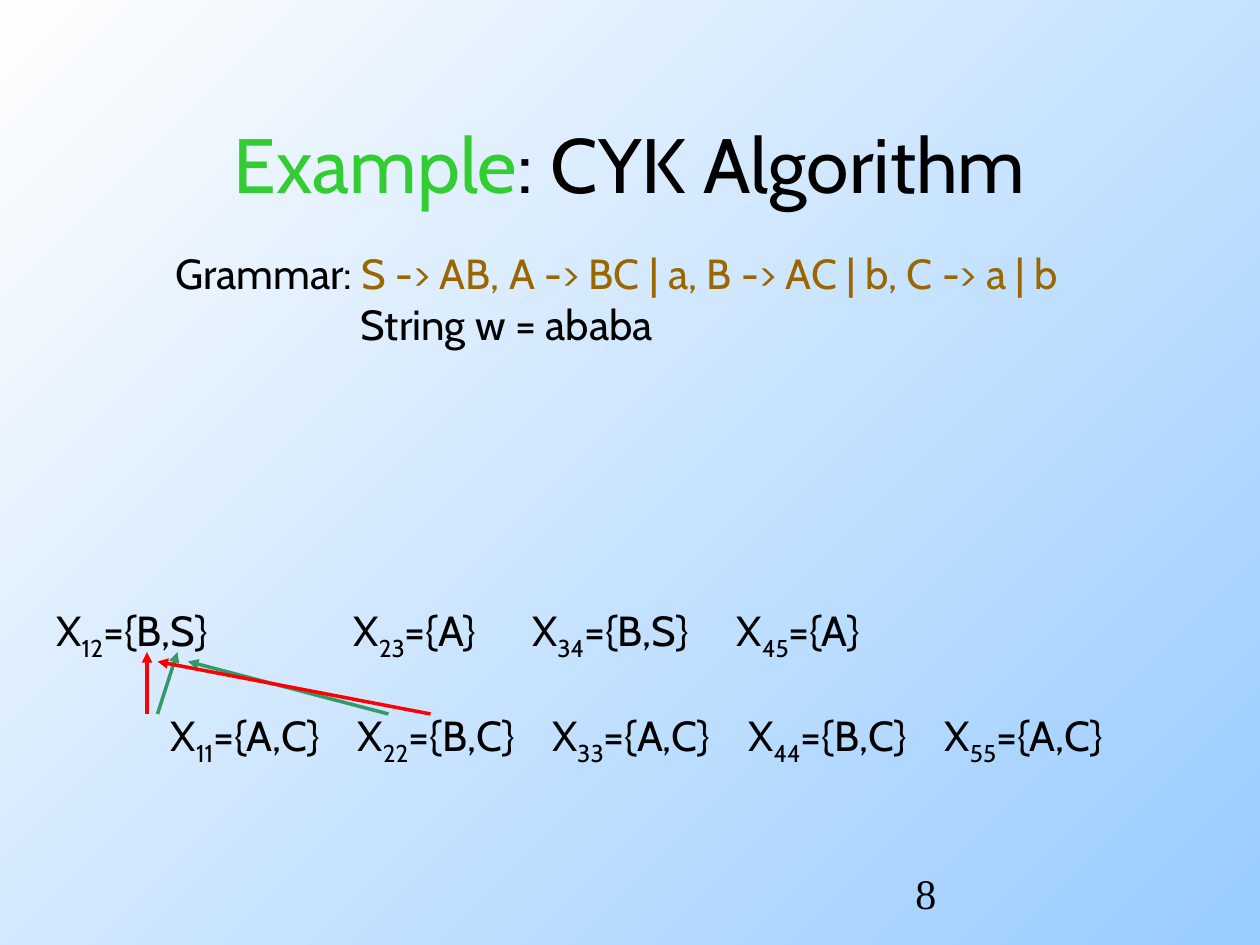
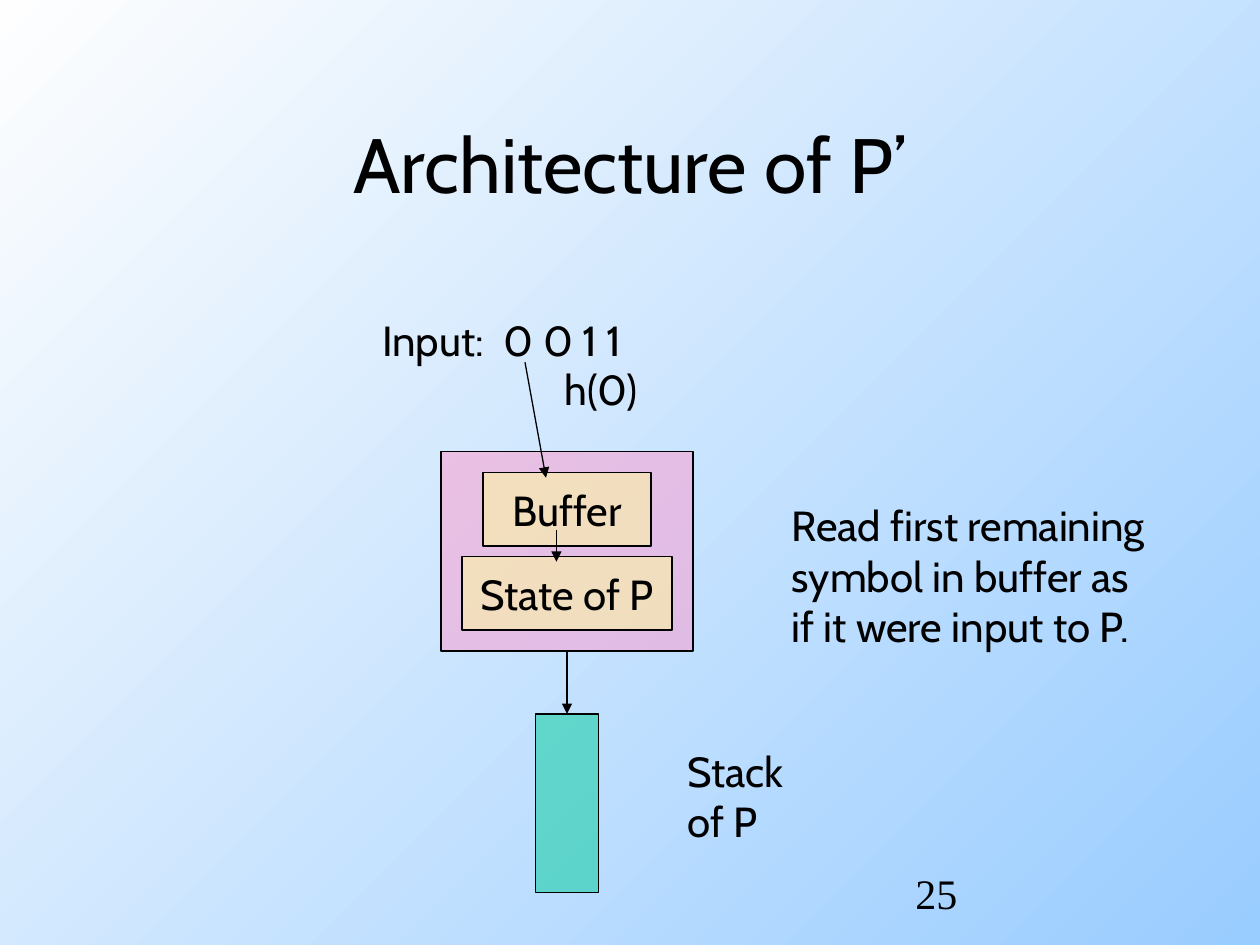
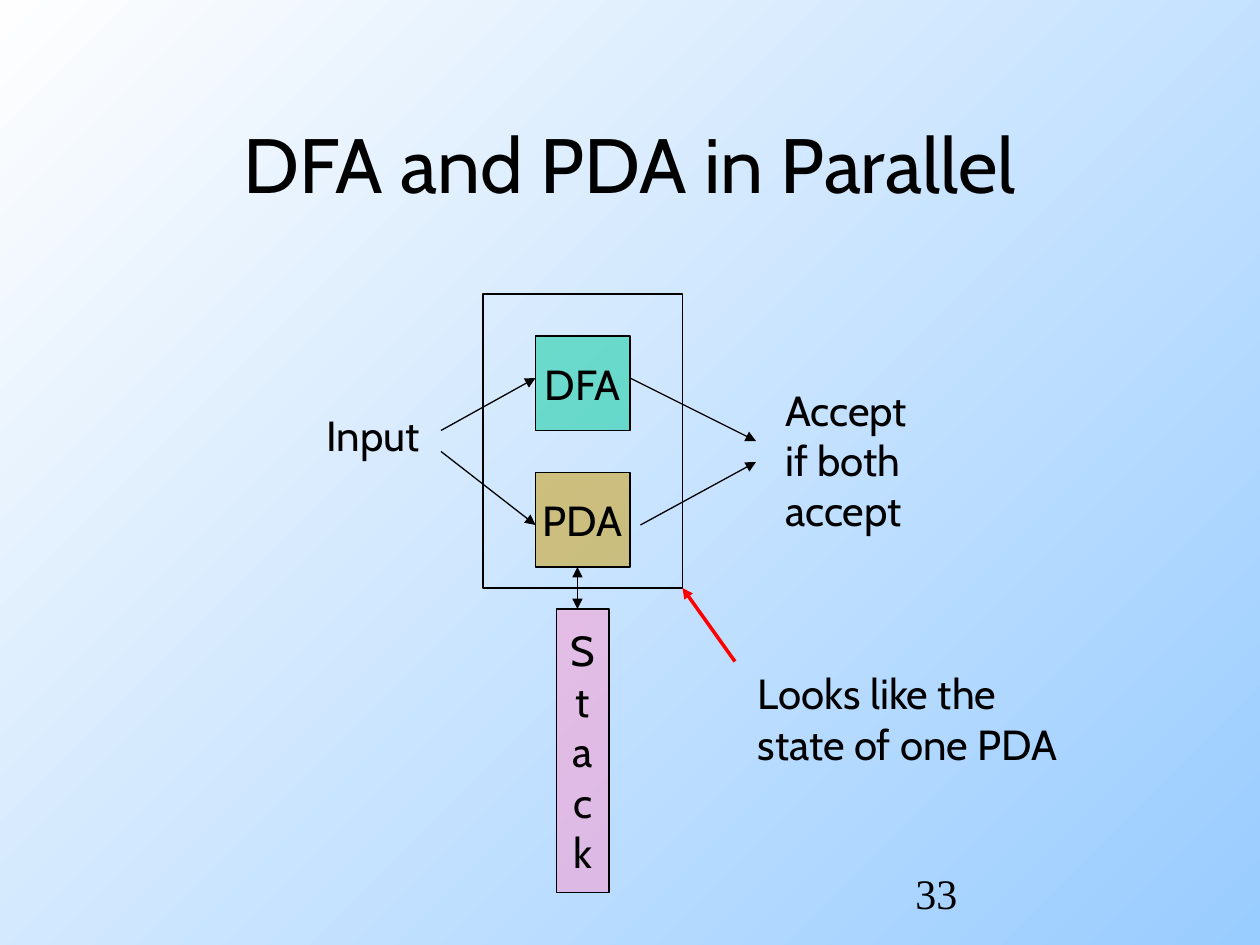
from lxml.etree import SubElement
from pptx import Presentation
from pptx.dml.color import RGBColor
from pptx.enum.shapes import MSO_CONNECTOR, MSO_SHAPE
from pptx.enum.text import MSO_ANCHOR, PP_ALIGN
from pptx.oxml.ns import qn
from pptx.util import Emu, Pt

SCALE = 7620  # EMU in one px, 120 px to the inch
BLACK = RGBColor(0x00, 0x00, 0x00)
RED = RGBColor(0xFF, 0x00, 0x00)
GREEN = RGBColor(0x33, 0x99, 0x66)
LIME = RGBColor(0x33, 0xCC, 0x33)
BROWN = RGBColor(0x99, 0x66, 0x00)
PINK = RGBColor(0xFF, 0x99, 0xCC)
YELLOW = RGBColor(0xFF, 0xFF, 0x99)
TEAL = RGBColor(0x00, 0xCC, 0x99)
OCHRE = RGBColor(0xCC, 0x99, 0x00)
SKY = RGBColor(0x99, 0xCC, 0xFF)
WHITE = RGBColor(0xFE, 0xFE, 0xFE)


def write(text, slide=None, at=None, shape=None, size=24, color=BLACK, font="Cabin",
          align=PP_ALIGN.LEFT, anchor=MSO_ANCHOR.TOP, wrap=True, tabs=(), subscript=False):
    """Add text to a shape, or to a new text box; a line break starts a paragraph."""
    if shape is None:
        shape = slide.shapes.add_textbox(*[Emu(px * SCALE) for px in at])
    frame = shape.text_frame
    frame.word_wrap = wrap
    frame.vertical_anchor = anchor
    for index, line in enumerate(text.split("\n")):
        paragraph = frame.add_paragraph() if index else frame.paragraphs[-1]
        paragraph.alignment = align
        if tabs:
            tab_list = SubElement(paragraph._p.get_or_add_pPr(), qn("a:tabLst"))
            for tab in tabs:
                SubElement(tab_list, qn("a:tab"), pos=str(tab * SCALE), algn="l")
        run = paragraph.add_run()
        run.text = line
        run.font.name = font
        run.font.size = Pt(size)
        run.font.color.rgb = color
        if subscript:
            run.font._element.set("baseline", "-25000")
    return shape


def add_arrow(slide, points, color=BLACK, width=0.75):
    arrow = slide.shapes.add_connector(MSO_CONNECTOR.STRAIGHT, *[Emu(px * SCALE) for px in points])
    arrow.line.color.rgb = color
    arrow.line.width = Pt(width)
    SubElement(arrow.line._get_or_add_ln(), qn("a:tailEnd"), type="triangle")
    SubElement(arrow._element.spPr, qn("a:effectLst"))


presentation = Presentation()
presentation.slide_width = Emu(1200 * SCALE)
presentation.slide_height = Emu(900 * SCALE)

# Shared background
background = presentation.slide_master.background.fill
background.gradient()
background.gradient_angle = 135
for stop, color in zip(background.gradient_stops, (SKY, WHITE)):
    stop.color.rgb = color

# Slides with title and page number
slides = []
for accent, title, number in [
    ("Example", ": CYK Algorithm", "8"),
    ("", "Architecture of P’", "25"),
    ("", "DFA and PDA in Parallel", "33"),
]:
    slide = presentation.slides.add_slide(presentation.slide_layouts[6])
    title_style = dict(size=44, align=PP_ALIGN.CENTER, anchor=MSO_ANCHOR.MIDDLE)
    title_box = None
    if accent:
        title_box = write(accent, slide, (90, 80, 1020, 150), color=LIME, **title_style)
    write(title, slide, (90, 80, 1020, 150), shape=title_box, **title_style)
    write(number, slide, (860, 820, 250, 60), font="Times New Roman")
    slides.append(slide)
cyk, architecture, parallel = slides

# Grammar and input string
grammar = write("Grammar: ", cyk, (155, 230, 991, 108))
write("S -> AB, A -> BC | a, B -> AC | b, C -> a | b", shape=grammar, color=BROWN)
grammar.text_frame.add_paragraph()
write("\tString w = ababa", shape=grammar, tabs=[177])

# Rows of the CYK table
for at, tabs, cells in [
    ((151, 670, 1015, 67), (178, 363, 550, 737),
     [("11", "A,C"), ("22", "B,C"), ("33", "A,C"), ("44", "B,C"), ("55", "A,C")]),
    ((42, 570, 186, 67), (), [("12", "B,S")]),
    ((325, 570, 558, 67), (170, 365), [("23", "A"), ("34", "B,S"), ("45", "A")]),
]:
    row = write("X", cyk, at, tabs=tabs)
    for index, (subscript, symbols) in enumerate(cells):
        if index:
            write("\tX", shape=row)
        write(subscript, shape=row, subscript=True)
        write("={" + symbols + "}", shape=row)

# Boxes
for slide, at, fill, label in [
    (architecture, (420, 430, 240, 190), PINK, ""),
    (architecture, (460, 450, 160, 70), YELLOW, "Buffer"),
    (architecture, (440, 530, 200, 70), YELLOW, "State of P"),
    (architecture, (510, 680, 60, 170), TEAL, ""),
    (parallel, (510, 320, 90, 90), TEAL, "DFA"),
    (parallel, (510, 450, 90, 90), OCHRE, "PDA"),
    (parallel, (530, 580, 50, 270), PINK, "S\nt\na\nc\nk"),
    (parallel, (460, 280, 190, 280), None, ""),
]:
    box = slide.shapes.add_shape(MSO_SHAPE.RECTANGLE, *[Emu(px * SCALE) for px in at])
    box.shadow.inherit = False
    box.line.color.rgb = BLACK
    box.line.width = Pt(0.75)
    if fill is None:
        box.fill.background()
    else:
        box.fill.solid()
        box.fill.fore_color.rgb = fill
        color_element = box._element.spPr.find(qn("a:solidFill"))[0]
        SubElement(color_element, qn("a:alpha"), val="50000")
    if label:
        write(label, shape=box, align=PP_ALIGN.CENTER, anchor=MSO_ANCHOR.MIDDLE, wrap=False)

# Labels
for slide, at, label in [
    (architecture, (352, 294, 280, 60), "Input:\t0 0 1 1"),
    (architecture, (526, 340, 110, 60), "h(0)"),
    (architecture, (643, 704, 130, 108), "Stack\nof P"),
    (architecture, (742, 470, 407, 156), "Read first remaining\nsymbol in buffer as\nif it were input to P."),
    (parallel, (299, 384, 126, 60), "Input"),
    (parallel, (736, 360, 149, 156), "Accept\nif both\naccept"),
    (parallel, (710, 630, 336, 108), "Looks like the\nstate of one PDA"),
]:
    write(label, slide, at, tabs=[116] if "\t" in label else ())

# Thick arrows
for slide, points, color in [
    (cyk, (150, 680, 169, 621), GREEN),
    (cyk, (370, 680, 179, 630), GREEN),
    (cyk, (140, 680, 140, 621), RED),
    (cyk, (410, 680, 150, 630), RED),
    (parallel, (700, 630, 650, 560), RED),
]:
    add_arrow(slide, points, color=color, width=2)

# Thin arrows
for slide, points in [
    (architecture, (500, 345, 520, 455)),
    (architecture, (540, 620, 540, 680)),
    (architecture, (530, 505, 530, 535)),
    (parallel, (550, 560, 550, 540)),
    (parallel, (550, 560, 550, 580)),
    (parallel, (420, 410, 510, 360)),
    (parallel, (420, 430, 510, 500)),
    (parallel, (600, 360, 720, 420)),
    (parallel, (610, 500, 720, 440)),
]:
    add_arrow(slide, points)

presentation.save("out.pptx")
